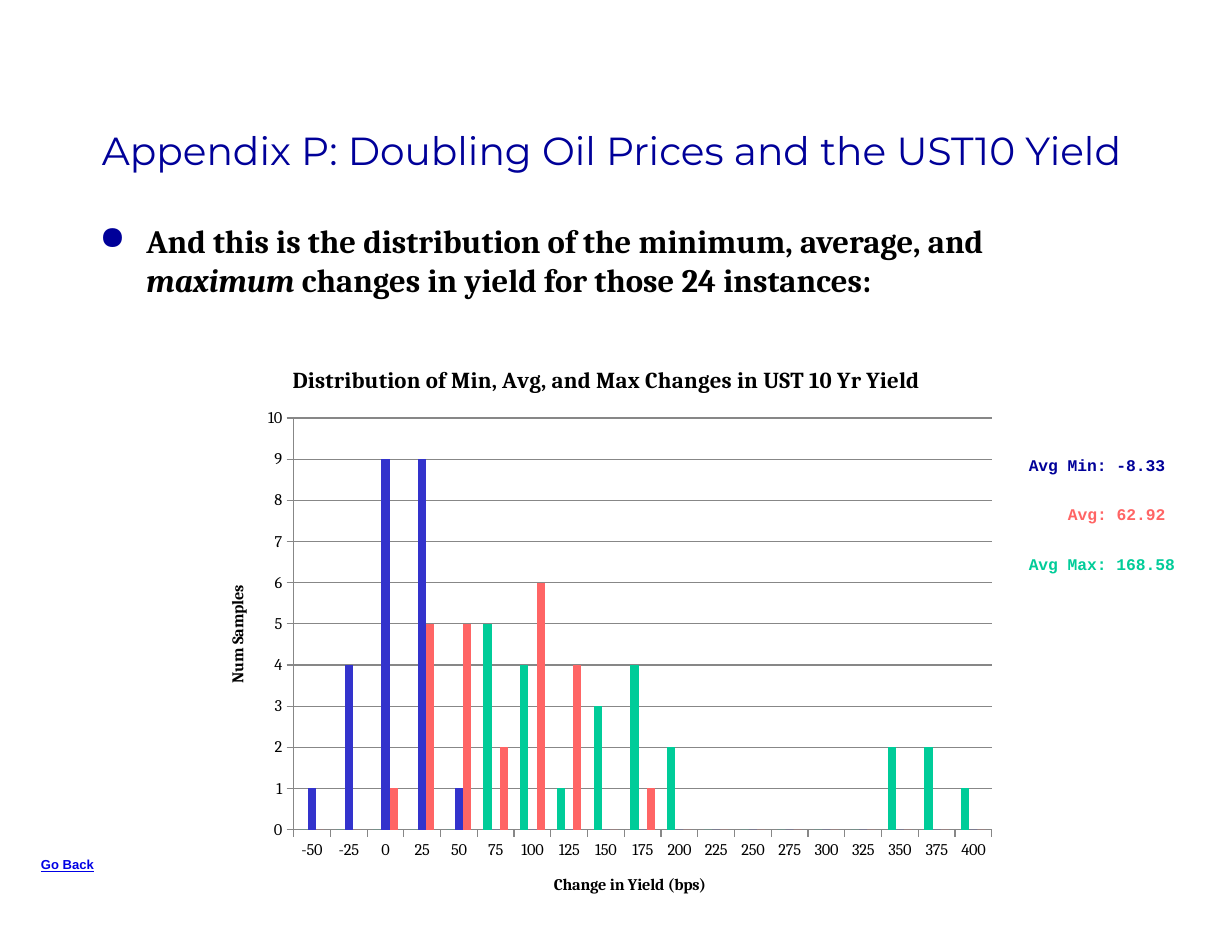
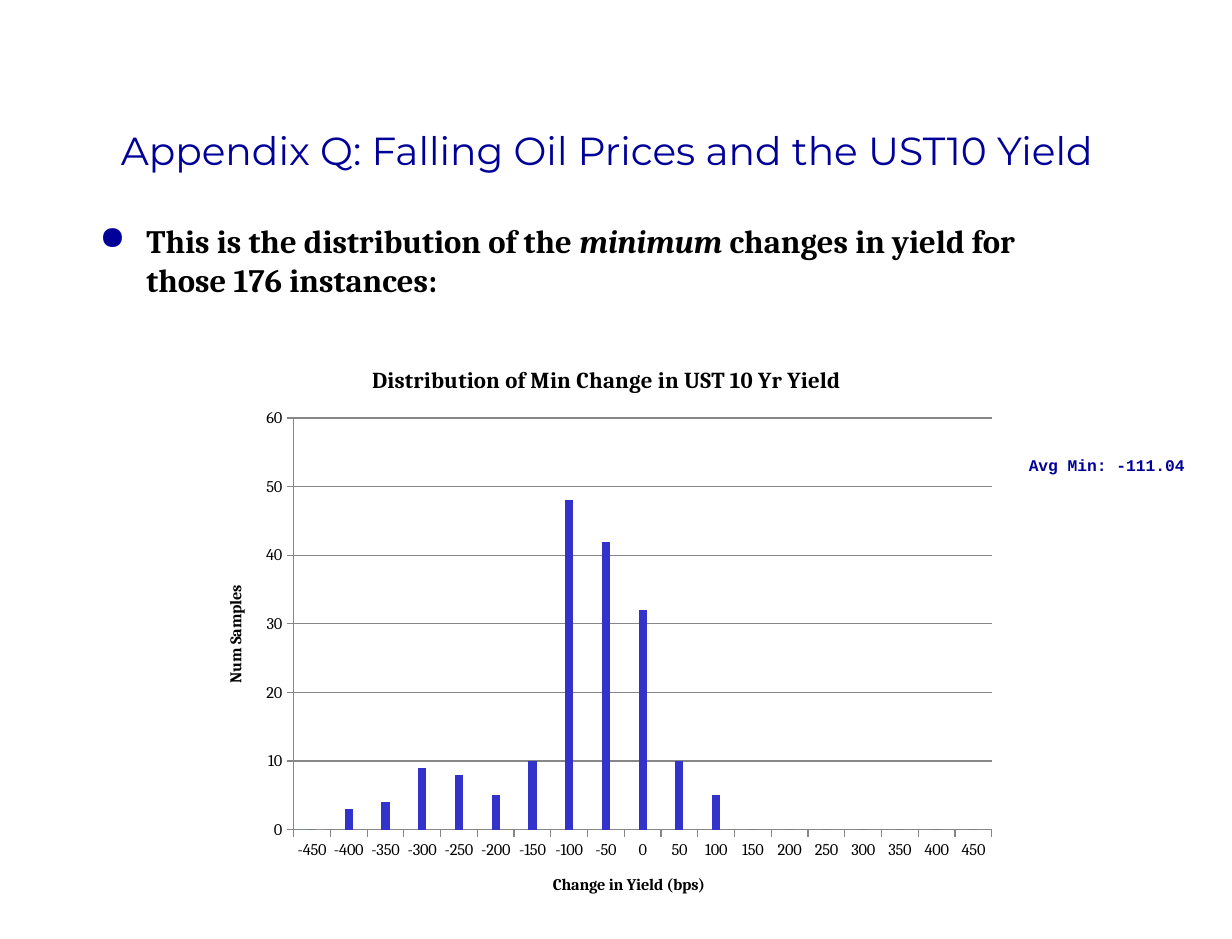
from lxml import etree
from pptx import Presentation
from pptx import util as u
from pptx.chart.data import CategoryChartData
from pptx.dml.color import RGBColor
from pptx.enum import chart as ch, shapes, text
from pptx.oxml import parse_xml
from pptx.oxml.ns import nsdecls, qn

COLORS = {
    "navy": "000099",
    "link": "0000E5",
    "black": "000000",
    "white": "FFFFFF",
    "grid": "878787",
    "min": "3333CC",
    "avg": "FF6565",
    "max": "00CC99",
}
HEADING_FONT, BODY_FONT, NOTE_FONT = "Montserrat", "Cambria", "Courier New"
CHAR_WIDTH = 0.6 * 10 / 72  # one 10 pt Courier New character, in inches


def rgb(name):
    return RGBColor.from_string(COLORS[name])


def style(font, face, size, color, bold=False):
    font.name, font.size, font.bold = face, u.Pt(size), bold
    font.color.rgb = rgb(color)


def add_textbox(slide, left, top, width, height):
    frame = slide.shapes.add_textbox(
        *map(u.Inches, (left, top, width, height))).text_frame
    frame.word_wrap = True
    return frame


def add_title(slide, heading, left, width):
    band = slide.shapes.add_shape(
        shapes.MSO_SHAPE.RECTANGLE,
        *map(u.Inches, (left, 0.67, width, 1.25)))
    band.shadow.inherit = False
    band.fill.solid()
    band.fill.fore_color.rgb = rgb("white")
    band.line.fill.background()
    band.text_frame.vertical_anchor = text.MSO_ANCHOR.MIDDLE
    paragraph = band.text_frame.paragraphs[0]
    paragraph.text = heading
    paragraph.alignment = text.PP_ALIGN.CENTER
    paragraph.line_spacing = 0.95
    style(paragraph.font, HEADING_FONT, 24, "navy")


def add_bullet(slide, before, emphasis, after):
    paragraph = add_textbox(slide, 0.75, 1.83, 8.5, 4.83).paragraphs[0]
    props = paragraph._p.get_or_add_pPr()
    props.set("marL", str(u.Inches(0.4)))
    props.set("indent", str(-u.Inches(0.4)))
    color = etree.SubElement(props, qn("a:buClr"))
    etree.SubElement(color, qn("a:srgbClr")).set("val", COLORS["navy"])
    etree.SubElement(props, qn("a:buChar")).set("char", "●")
    style(paragraph.font, BODY_FONT, 20, "black", bold=True)
    for words in (before, emphasis, after):
        run = paragraph.add_run()
        run.text = words
        if words == emphasis:
            run.font.italic = True


def add_averages(slide, averages):
    """Stack the averages beside the chart; indent counts characters."""
    for row, (label, color, indent) in enumerate(averages):
        frame = add_textbox(slide, 8.67, 3.83 + 0.42 * row, 1.83, 0.27)
        paragraph = frame.paragraphs[0]
        paragraph.text = label
        if indent:
            margin = u.Inches(indent * CHAR_WIDTH)
            paragraph._p.get_or_add_pPr().set("marL", str(margin))
        style(paragraph.font, NOTE_FONT, 10, color, bold=True)


def add_back_label(slide):
    paragraph = add_textbox(slide, 0.25, 7.25, 1.42, 0.24).paragraphs[0]
    paragraph.text = "Go Back"
    style(paragraph.font, "Arial", 8, "link", bold=True)
    paragraph.font.underline = True


def set_chart_title(owner, words, size):
    paragraph = owner.text_frame.paragraphs[0]
    paragraph.text = words
    style(paragraph.font, BODY_FONT, size, "black", bold=True)


def place_plot(chart, x, y, w, h):
    """Fix the inner plot area, in fractions of the chart."""
    area = chart.element.find(".//" + qn("c:plotArea"))
    for automatic in area.findall(qn("c:layout")):
        area.remove(automatic)
    sizes = "".join(f'<c:{key} val="{value}"/>'
                    for key, value in zip("xywh", (x, y, w, h)))
    area.insert(0, parse_xml(
        f'<c:layout {nsdecls("c")}><c:manualLayout>'
        '<c:layoutTarget val="inner"/>'
        '<c:xMode val="edge"/><c:yMode val="edge"/>'
        f'{sizes}</c:manualLayout></c:layout>'))


def add_histogram(slide, title, bins, series, top, step):
    data = CategoryChartData()
    data.categories = [str(edge) for edge in bins]
    for number, (_, counts) in enumerate(series, 1):
        data.add_series(f"Series {number}", counts)
    chart = slide.shapes.add_chart(
        ch.XL_CHART_TYPE.COLUMN_CLUSTERED,
        *map(u.Inches, (1.75, 2.92, 6.84, 4.94)), data).chart
    style(chart.font, BODY_FONT, 10, "black")
    chart.has_legend = False
    chart.has_title = True
    set_chart_title(chart.chart_title, title, 14)
    chart.chart_title.include_in_layout = False
    place_plot(chart, 0.11, 0.13, 0.87, 0.71)

    # Bars
    plot = chart.plots[0]
    plot.gap_width, plot.overlap, plot.vary_by_categories = 150, 0, False
    for bars, (color, _) in zip(plot.series, series):
        bars.format.fill.solid()
        bars.format.fill.fore_color.rgb = rgb(color)
        bars.invert_if_negative = False

    # Axes
    samples, changes = chart.value_axis, chart.category_axis
    samples.minimum_scale, samples.maximum_scale = 0, top
    samples.major_unit = step
    samples.has_major_gridlines = True
    changes.tick_label_position = ch.XL_TICK_LABEL_POSITION.LOW
    for axis, label in ((samples, "Num Samples"),
                        (changes, "Change in Yield (bps)")):
        axis.major_tick_mark = ch.XL_TICK_MARK.OUTSIDE
        axis.minor_tick_mark = ch.XL_TICK_MARK.NONE
        set_chart_title(axis.axis_title, label, 10)
    for rule in (samples.format.line, changes.format.line,
                 samples.major_gridlines.format.line):
        rule.color.rgb = rgb("grid")
        rule.width = u.Pt(0.75)


def add_slide(deck):
    return deck.slides.add_slide(deck.slide_layouts[6])


def main():
    deck = Presentation()
    deck.slide_width, deck.slide_height = u.Inches(10.5), u.Inches(8)

    # Appendix P: doubling oil prices
    doubling = add_slide(deck)
    add_bullet(doubling,
               "And this is the distribution of the minimum, average, and ",
               "maximum", " changes in yield for those 24 instances:")
    add_averages(doubling, [("Avg Min: -8.33", "navy", 0),
                            ("Avg: 62.92", "avg", 4),
                            ("Avg Max: 168.58", "max", 0)])
    add_histogram(
        doubling, "Distribution of Min, Avg, and Max Changes in UST 10 Yr Yield",
        range(-50, 401, 25),
        [("max", [0] * 5 + [5, 4, 1, 3, 4, 2] + [0] * 5 + [2, 2, 1]),
         ("min", [1, 4, 9, 9, 1] + [0] * 14),
         ("avg", [0, 0, 1, 5, 5, 2, 6, 4, 0, 1] + [0] * 9)],
        top=10, step=1)
    add_title(doubling, "Appendix P: Doubling Oil Prices and the UST10 Yield",
              0.25, 9.92)
    add_back_label(doubling)

    # Appendix Q: falling oil prices
    falling = add_slide(deck)
    add_bullet(falling, "This is the distribution of the ", "minimum",
               " changes in yield for those 176 instances:")
    add_histogram(
        falling, "Distribution of Min Change in UST 10 Yr Yield",
        range(-450, 451, 50),
        [("max", [0]),
         ("min", [0, 3, 4, 9, 8, 5, 10, 48, 42, 32, 10, 5] + [0] * 7),
         ("white", [0])],
        top=60, step=10)
    add_averages(falling, [("Avg Min: -111.04", "navy", 0)])
    add_title(falling, "Appendix Q: Falling Oil Prices and the UST10 Yield",
              0.42, 9.5)

    deck.save("out.pptx")


if __name__ == "__main__":
    main()
